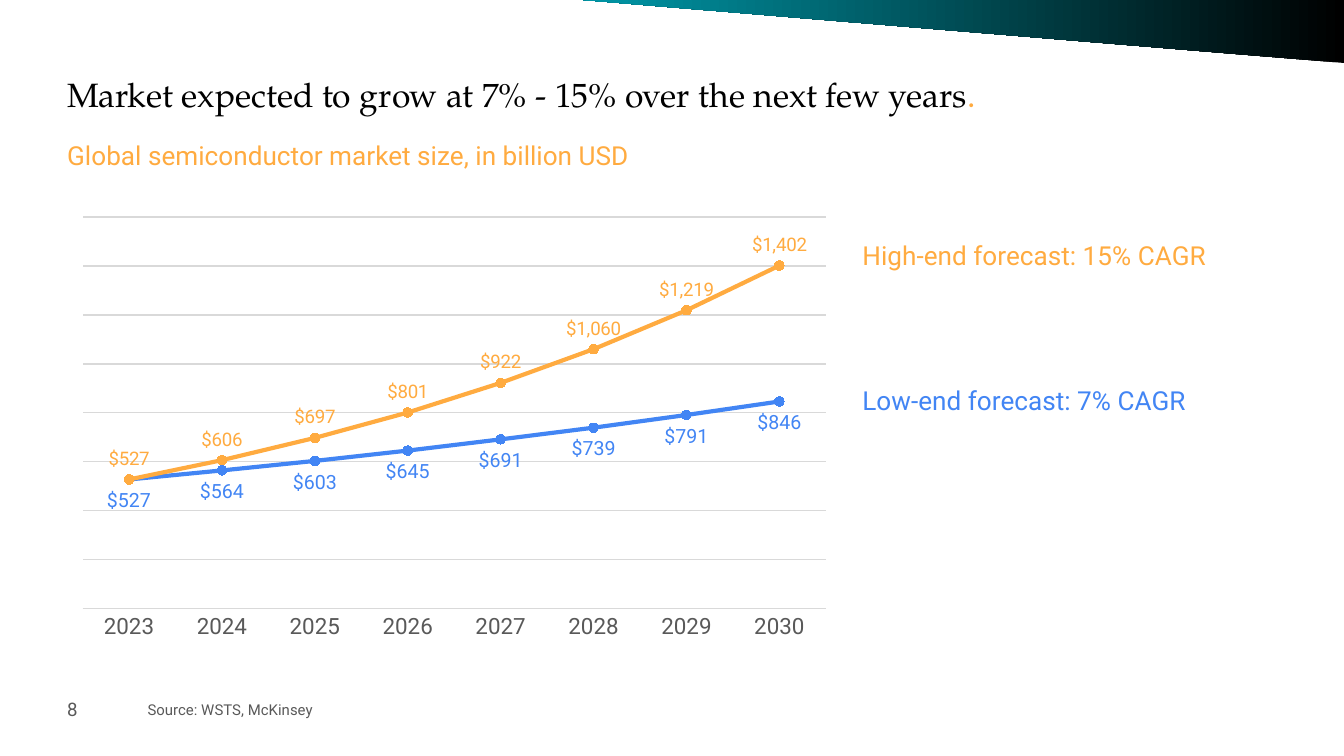
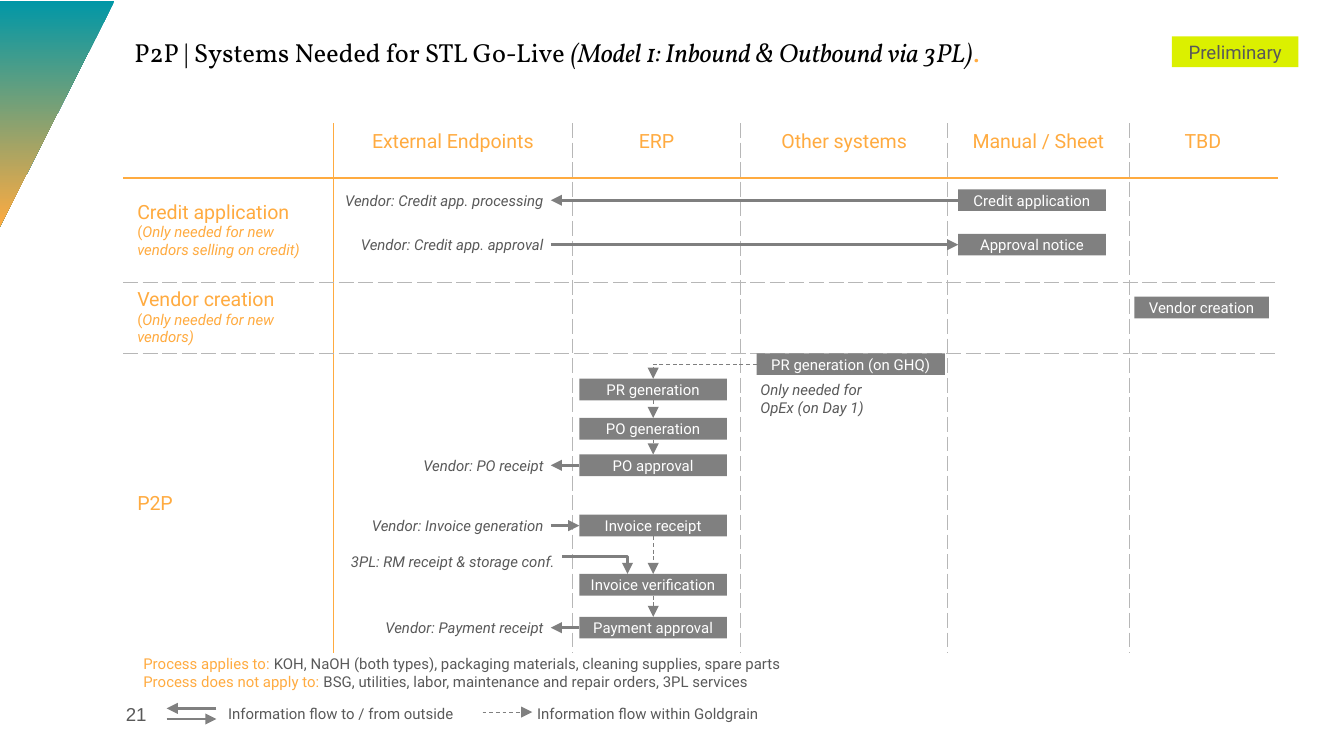
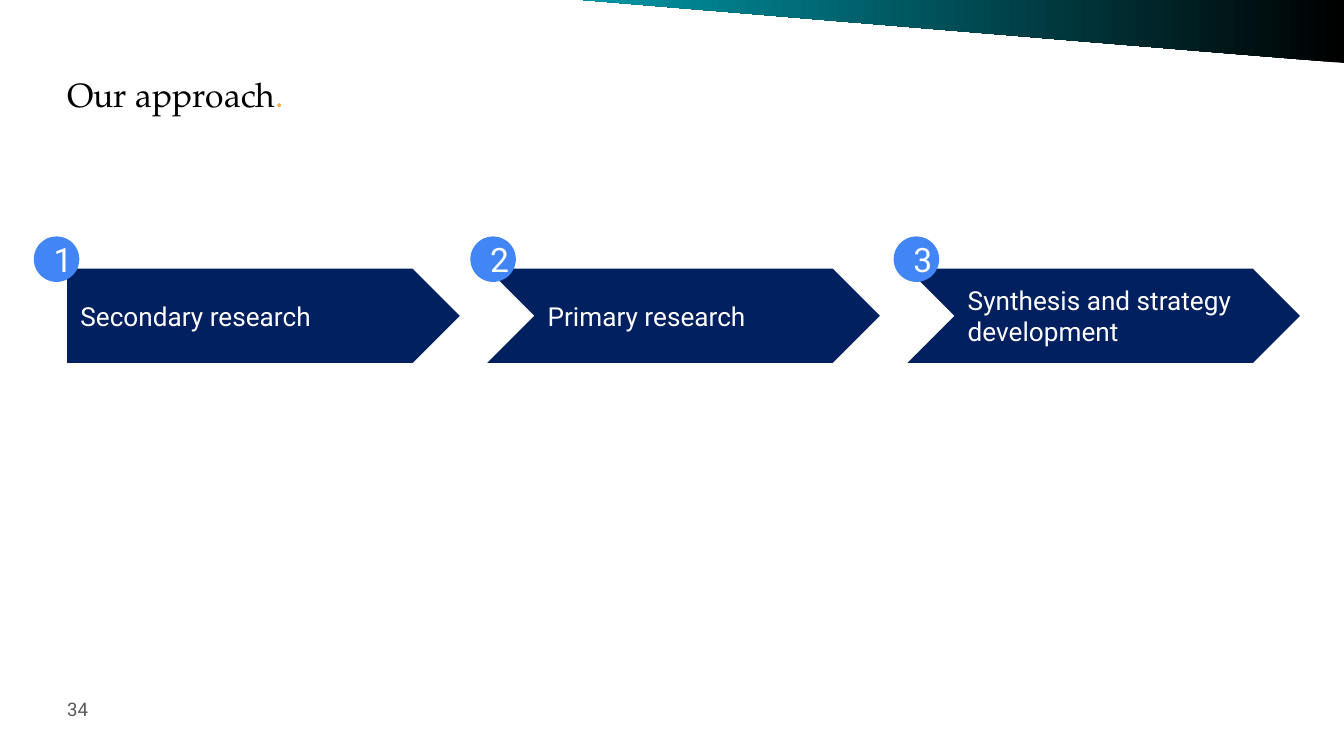
"""Build three slides: a market forecast, a purchasing process map and an approach."""
from lxml.etree import SubElement
from pptx import Presentation
from pptx.chart.data import CategoryChartData
from pptx.dml.color import RGBColor
from pptx.enum.chart import XL_CHART_TYPE as ChartType, XL_LABEL_POSITION as LabelSpot
from pptx.enum.chart import XL_MARKER_STYLE as Marker, XL_TICK_MARK as Tick
from pptx.enum.dml import MSO_LINE as Dash
from pptx.enum.shapes import MSO_CONNECTOR as Link, MSO_SHAPE as Shape
from pptx.enum.text import MSO_ANCHOR as Anchor, MSO_AUTO_SIZE as Fit, PP_ALIGN as Align
from pptx.oxml.ns import qn
from pptx.util import Cm, Pt

ORANGE, BLUE, TEAL, NAVY = "FFAB40", "4285F4", "0097A7", "002060"
BLACK, WHITE, TEXT, LIME = "000000", "FFFFFF", "595959", "DBF000"
BOX_GREY, ARROW_GREY, RULE_GREY, GRID_GREY = "808080", "7F7F7F", "B7B7B7", "D9D9D9"
BODY, SERIF, SLIM_SERIF = "Roboto", "TeX Gyre Pagella", "Vollkorn"
DEFAULT_INSET, TIGHT_INSET, NO_INSET = (0.25, 0.13), (0.13, 0.13), (0, 0)
DOLLARS = '"$"#,##0'

YEARS = [str(year) for year in range(2023, 2031)]
FORECASTS = [
    ("Series 1", [527, 564, 603, 645, 691, 739, 791, 846], BLUE, LabelSpot.BELOW, 10.5),
    ("Series 2", [527, 606, 697, 801, 922, 1060, 1219, 1402], ORANGE, LabelSpot.ABOVE, 10),
]
FORECAST_NOTES = [
    ("High-end forecast: 15% CAGR", 4.39, ORANGE),
    ("Low-end forecast: 7% CAGR", 7.14, BLUE),
]

SYSTEMS = ["External Endpoints", "ERP", "Other systems", "Manual / Sheet", "TBD"]
PROCESSES = [
    ("Credit application", "Only needed for new vendors selling on credit)"),
    ("Vendor creation", "Only needed for new vendors)"),
    ("P2P", ""),
]
COLUMN_WIDTHS = [3.96, 4.52, 3.18, 3.91, 3.43, 2.79]
ROW_HEIGHTS = [0.97, 1.96, 0.79, 5.69]

STEP_WIDTH, STEP_HEIGHT = 2.79, 0.41
ERP_LEFT, MANUAL_LEFT, VENDOR_LEFT, VENDOR_WIDTH = 10.95, 18.11, 5.33, 5.08
STEPS = {
    "PR generation": (ERP_LEFT, 7.16, STEP_WIDTH),
    "PO generation": (ERP_LEFT, 7.9, STEP_WIDTH),
    "PO approval": (ERP_LEFT, 8.59, STEP_WIDTH),
    "Invoice receipt": (ERP_LEFT, 9.73, STEP_WIDTH),
    "Invoice verification": (ERP_LEFT, 10.85, STEP_WIDTH),
    "Payment approval": (ERP_LEFT, 11.66, STEP_WIDTH),
    "Credit application": (MANUAL_LEFT, 3.58, STEP_WIDTH),
    "Approval notice": (MANUAL_LEFT, 4.42, STEP_WIDTH),
    "Vendor creation": (21.44, 5.61, 2.54),
    "PR generation (on GHQ)": (14.3, 6.68, 3.56),
}
INNER_FLOWS = [
    ("PR generation", "PO generation"),
    ("PO generation", "PO approval"),
    ("Invoice receipt", "Invoice verification"),
    ("Invoice verification", "Payment approval"),
]
VENDOR_FLOWS = [
    ("Vendor: Credit app. processing", "Credit application", "out"),
    ("Vendor: Credit app. approval", "Approval notice", "in"),
    ("Vendor: PO receipt", "PO approval", "out"),
    ("Vendor: Invoice generation", "Invoice receipt", "in"),
    ("Vendor: Payment receipt", "Payment approval", "out"),
]
SCOPE = [
    ("Process applies to: ",
     "KOH, NaOH (both types), packaging materials, cleaning supplies, spare parts"),
    ("Process does not apply to: ",
     "BSG, utilities, labor, maintenance and repair orders, 3PL services"),
]
LEGEND = [
    ("Information flow to / from outside", 4.06),
    ("Information flow within Goldgrain", 9.9),
]

PHASES = [
    ("Secondary research", Shape.PENTAGON, 0.64),
    ("Primary research", Shape.CHEVRON, 8.89),
    ("Synthesis and strategy development", Shape.CHEVRON, 16.89),
]


def ink(code):
    """Turn a hex string into a colour."""
    return RGBColor.from_string(code)


def style(font, size, color, name=BODY, italic=False):
    """Set the look of a font."""
    font.size, font.name, font.italic = Pt(size), name, italic
    font.color.rgb = ink(color)


def write(frame, paragraphs, size, color, name=BODY, italic=False, align=Align.LEFT):
    """Fill a text frame from a string or from lists of (text, changes) spans."""
    if isinstance(paragraphs, str):
        paragraphs = [[(paragraphs, {})]]
    for index, spans in enumerate(paragraphs):
        para = frame.add_paragraph() if index else frame.paragraphs[0]
        para.alignment = align
        for text, changes in spans:
            span = para.add_run()
            span.text = text
            look = {"size": size, "color": color, "name": name, "italic": italic}
            style(span.font, **{**look, **changes})


def set_frame(frame, inset, anchor, fit=Fit.NONE):
    """Set wrapping, margins and anchoring of a text frame."""
    frame.word_wrap, frame.auto_size, frame.vertical_anchor = True, fit, anchor
    frame.margin_left = frame.margin_right = Cm(inset[0])
    frame.margin_top = frame.margin_bottom = Cm(inset[1])


def add_text(page, at, text, size, color, inset=DEFAULT_INSET, anchor=Anchor.TOP,
             fit=Fit.NONE, **look):
    """Add a text box."""
    box = page.shapes.add_textbox(*map(Cm, at))
    set_frame(box.text_frame, inset, anchor, fit)
    write(box.text_frame, text, size, color, **look)
    return box


def add_block(page, kind, at, fill, text="", size=8, color=WHITE, inset=DEFAULT_INSET,
              anchor=Anchor.MIDDLE, **look):
    """Add a filled shape without outline."""
    block = page.shapes.add_shape(kind, *map(Cm, at))
    block.shadow.inherit = False
    block.fill.solid()
    block.fill.fore_color.rgb = ink(fill)
    block.line.fill.background()
    set_frame(block.text_frame, inset, anchor)
    if text:
        write(block.text_frame, text, size, color, **look)
    return block


def add_corner(page, at, rotation, colors):
    """Add the gradient triangle at the edge of the page."""
    corner = add_block(page, Shape.RIGHT_TRIANGLE, at, colors[0])
    corner.rotation = rotation
    corner.fill.gradient()
    corner.fill.gradient_angle = 0
    for stop, color in zip(corner.fill.gradient_stops, colors):
        stop.color.rgb = ink(color)


def add_arrow(page, start, end, inner=False, bent=False, color=ARROW_GREY):
    """Add an arrow, dashed for inner flows, bent once when asked."""
    kind = Link.ELBOW if bent else Link.STRAIGHT
    arrow = page.shapes.add_connector(kind, *map(Cm, start + end))
    arrow.line.color.rgb = ink(color)
    arrow.line.width = Pt(0.5 if inner else 1.5)
    if inner:
        arrow.line.dash_style = Dash.DASH
    properties = arrow._element.spPr
    if bent:
        properties.find(qn("a:prstGeom")).set("prst", "bentConnector2")
    SubElement(properties.find(qn("a:ln")), qn("a:tailEnd"), type="triangle")
    SubElement(properties, qn("a:effectLst"))


def add_page(deck, at, spans, size, name):
    """Add a page whose title ends with an orange full stop."""
    page = deck.slides.add_slide(deck.slide_layouts[5])
    title = page.shapes.title
    title.left, title.top, title.width, title.height = map(Cm, at)
    set_frame(title.text_frame, NO_INSET, Anchor.TOP)
    write(title.text_frame, [spans + [(".", {"color": ORANGE})]], size, BLACK, name)
    return page


def add_banded_page(deck, title, number):
    """Add a page with the top band and its page number."""
    page = add_page(deck, (1.27, 1.4, 23.01, 0.86), [(title, {})], 18, SERIF)
    add_corner(page, (11.02, 0, 14.38, 1.19), 180, (BLACK, TEAL))
    add_text(page, (1.27, 13.16, 1.52, 0.48), number, 10, TEXT, NO_INSET, Anchor.MIDDLE)
    return page


def add_forecast_chart(page):
    """Add the line chart of both forecasts."""
    data = CategoryChartData(number_format=DOLLARS)
    data.categories = YEARS
    for name, values, *_ in FORECASTS:
        data.add_series(name, values)
    place = map(Cm, (1.27, 3.94, 14.63, 8.33))
    chart = page.shapes.add_chart(ChartType.LINE_MARKERS, *place, data).chart
    chart.has_legend = chart.has_title = False
    style(chart.font, 10, BLACK, "Arial")
    chart.plots[0].vary_by_categories = False

    years, values = chart.category_axis, chart.value_axis
    years.major_tick_mark = years.minor_tick_mark = Tick.NONE
    style(years.tick_labels.font, 12, TEXT)
    values.visible = False
    values.minimum_scale, values.maximum_scale, values.major_unit = 0, 1600, 200
    values.tick_labels.number_format = DOLLARS
    values.tick_labels.number_format_is_linked = False
    for line in (years.format.line, values.major_gridlines.format.line):
        line.color.rgb, line.width = ink(GRID_GREY), Pt(0.75)

    for series, (_, _, color, spot, size) in zip(chart.plots[0].series, FORECASTS):
        series.smooth = False
        series.format.line.color.rgb, series.format.line.width = ink(color), Pt(2.25)
        series.marker.style, series.marker.size = Marker.CIRCLE, 5
        series.marker.format.fill.solid()
        series.marker.format.fill.fore_color.rgb = ink(color)
        series.marker.format.line.color.rgb = ink(color)
        labels = series.data_labels
        labels.show_value, labels.position = True, spot
        labels.number_format, labels.number_format_is_linked = DOLLARS, False
        style(labels.font, size, color)


def build_market(deck):
    """Build the market forecast page."""
    page = add_banded_page(
        deck, "Market expected to grow at 7% - 15% over the next few years", "8")
    add_text(page, (2.54, 13.11, 10.67, 0.61), "Source: WSTS, McKinsey", 8, TEXT,
             fit=Fit.SHAPE_TO_FIT_TEXT)
    subtitle = add_text(page, (1.27, 2.54, 13.46, 1.12),
                        "Global semiconductor market size, in billion USD",
                        14, ORANGE, NO_INSET)
    subtitle.text_frame.paragraphs[0].line_spacing = 1.15
    add_forecast_chart(page)
    for text, top, color in FORECAST_NOTES:
        add_text(page, (16.05, top, 8.08, 0.86), text, 14, color,
                 fit=Fit.SHAPE_TO_FIT_TEXT)


def set_border(cell, side, index):
    """Draw one cell border: solid after the headings, dashed elsewhere."""
    color, width, dash = (RULE_GREY, 0.5, "dash") if index else (ORANGE, 1, "solid")
    line = SubElement(cell._tc.get_or_add_tcPr(), qn("a:ln" + side), w=str(Pt(width)))
    fill = SubElement(line, qn("a:solidFill"))
    SubElement(fill, qn("a:srgbClr"), val=color)
    SubElement(line, qn("a:prstDash"), val=dash)


def add_process_table(page):
    """Add the grid of processes by system."""
    row_count, column_count = len(ROW_HEIGHTS), len(COLUMN_WIDTHS)
    place = map(Cm, (2.34, 2.34, sum(COLUMN_WIDTHS), sum(ROW_HEIGHTS)))
    table = page.shapes.add_table(row_count, column_count, *place).table
    table.first_row = table.horz_banding = False
    for column, width in zip(table.columns, COLUMN_WIDTHS):
        column.width = Cm(width)
    for row, height in zip(table.rows, ROW_HEIGHTS):
        row.height = Cm(height)
    for row in range(row_count):
        for column in range(column_count):
            cell = table.cell(row, column)
            edges = [("L", column - 1, column > 0), ("R", column, column < column_count - 1),
                     ("T", row - 1, row > 0), ("B", row, row < row_count - 1)]
            for side, index, inside in edges:
                if inside:
                    set_border(cell, side, index)
            cell.fill.background()
    for column, system in enumerate(SYSTEMS, 1):
        write(table.cell(0, column).text_frame, system, 10.5, ORANGE, align=Align.CENTER)
    for row, (process, note) in enumerate(PROCESSES, 1):
        cell = table.cell(row, 0)
        cell.vertical_anchor = Anchor.MIDDLE
        lines = [[(process, {})]]
        if note:
            lines.append([("(", {"size": 8}), (note, {"size": 8, "italic": True})])
        write(cell.text_frame, lines, 10.5, ORANGE)


def add_flows(page):
    """Add the process steps and the arrows between them."""
    half = STEP_HEIGHT / 2
    erp_middle = ERP_LEFT + STEP_WIDTH / 2
    for source, target in INNER_FLOWS:
        add_arrow(page, (erp_middle, STEPS[source][1] + STEP_HEIGHT),
                  (erp_middle, STEPS[target][1]), inner=True)
    ghq_left, ghq_top, _ = STEPS["PR generation (on GHQ)"]
    add_arrow(page, (ghq_left, ghq_top + half), (erp_middle, STEPS["PR generation"][1]),
              inner=True, bent=True)
    add_arrow(page, (7.62, 10.52), (11.86, STEPS["Invoice verification"][1]), bent=True)

    for label, step, direction in VENDOR_FLOWS:
        left, top, _ = STEPS[step]
        ends = [(VENDOR_LEFT + VENDOR_WIDTH, top + half), (left, top + half)]
        add_arrow(page, *(ends if direction == "in" else ends[::-1]))
        add_text(page, (VENDOR_LEFT, top, VENDOR_WIDTH, STEP_HEIGHT), label, 8, TEXT,
                 TIGHT_INSET, Anchor.MIDDLE, italic=True, align=Align.RIGHT)
    for step, (left, top, width) in STEPS.items():
        add_block(page, Shape.RECTANGLE, (left, top, width, STEP_HEIGHT), BOX_GREY, step,
                  inset=TIGHT_INSET, align=Align.CENTER)
    add_block(page, Shape.RECTANGLE, (6.35, 10.49, 4.27, 0.23), WHITE,
              "3PL: RM receipt & storage conf.", color=TEXT, inset=TIGHT_INSET,
              italic=True, align=Align.RIGHT)
    add_text(page, (14.12, 7.06, 3.02, 0.94), "Only needed for OpEx (on Day 1)", 8, TEXT,
             fit=Fit.SHAPE_TO_FIT_TEXT, italic=True)


def build_systems(deck):
    """Build the process map page."""
    spans = [("P2P | Systems Needed for STL Go-Live ", {}),
             ("(Model 1: Inbound & Outbound via 3PL)", {"italic": True})]
    page = add_page(deck, (2.54, 0.69, 21.59, 0.86), spans, 14, SLIM_SERIF)
    add_process_table(page)
    add_corner(page, (-1.07, 1.07, 4.29, 2.18), 90, (TEAL, ORANGE))
    add_text(page, (2.13, 12.95, 1.52, 1.09), "21", 10, TEXT, (0.25, 0.25),
             Anchor.MIDDLE, name="Arial")
    add_block(page, Shape.RECTANGLE, (22.15, 0.69, 2.39, 0.58), LIME, "Preliminary", 10,
              TEXT, TIGHT_INSET, align=Align.CENTER)
    add_flows(page)
    for text, left in LEGEND:
        add_block(page, Shape.RECTANGLE, (left, 13.18, 6.45, 0.61), WHITE, text,
                  color=TEXT, anchor=Anchor.TOP)
    add_arrow(page, (3.15, 13.59), (4.09, 13.59), color=BOX_GREY)
    add_arrow(page, (4.09, 13.39), (3.15, 13.39), color=BOX_GREY)
    add_arrow(page, (9.12, 13.46), (10.06, 13.46), inner=True, color=BOX_GREY)
    scope = [[(lead, {"color": ORANGE}), (items, {})] for lead, items in SCOPE]
    add_text(page, (2.46, 12.24, 16.33, 0.94), scope, 8, TEXT, fit=Fit.SHAPE_TO_FIT_TEXT)


def build_approach(deck):
    """Build the page with three numbered phases."""
    page = add_banded_page(deck, "Our approach", "34")
    for index, (phase, kind, _) in enumerate(PHASES):
        add_block(page, kind, (1.27 + 7.94 * index, 5.08, 7.42, 1.78), NAVY, phase, 14)
    for number, (_, _, left) in enumerate(PHASES, 1):
        add_block(page, Shape.OVAL, (left, 4.47, 0.86, 0.86), BLUE, str(number), 18,
                  align=Align.CENTER)


def main():
    """Build and save the deck."""
    deck = Presentation()
    deck.slide_width, deck.slide_height = Cm(25.4), Cm(14.29)
    build_market(deck)
    build_systems(deck)
    build_approach(deck)
    deck.save("out.pptx")


if __name__ == "__main__":
    main()
